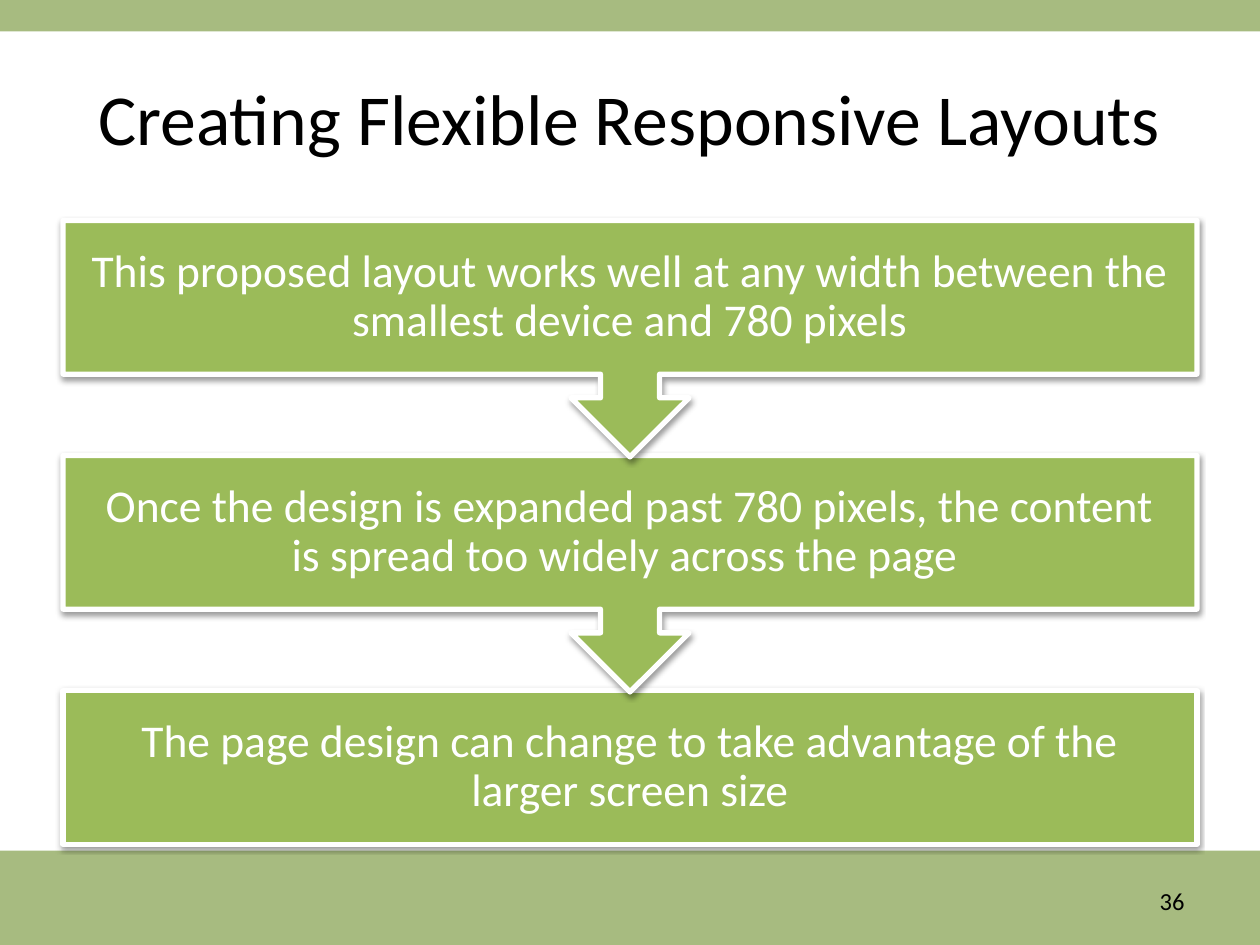
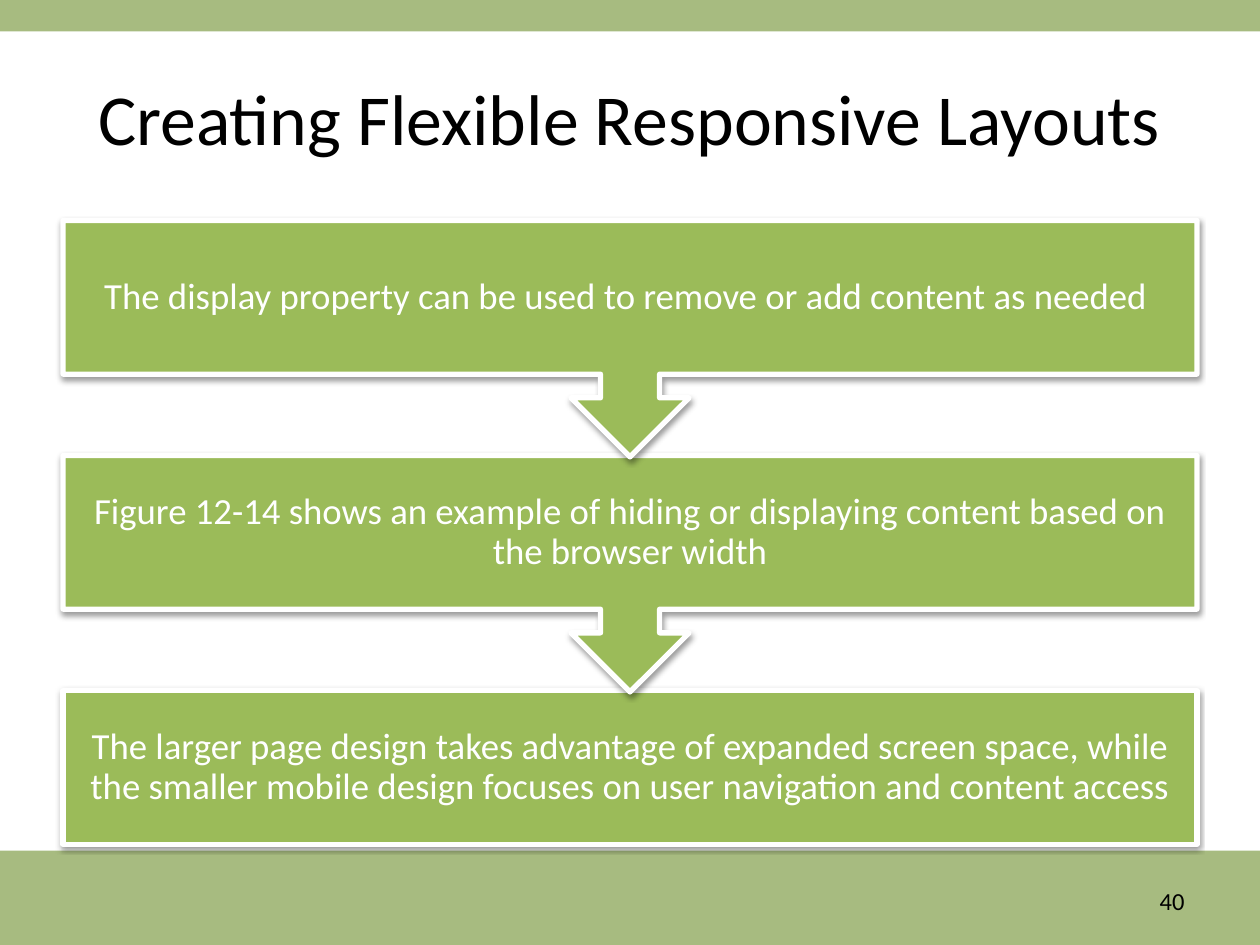
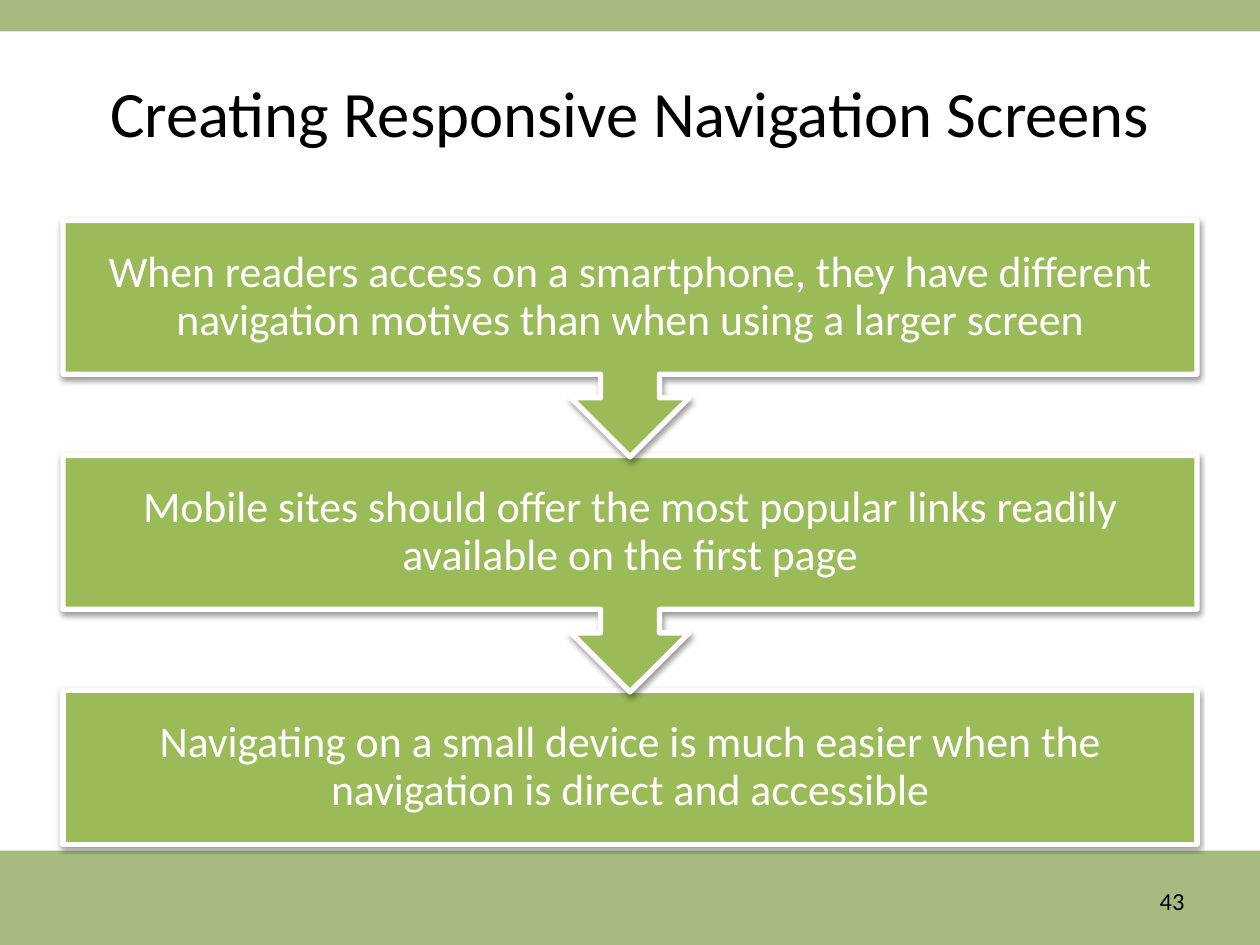
from dataclasses import dataclass
from typing import Any

from lxml import etree
from pptx import Presentation
from pptx import util as u
from pptx.dml.color import RGBColor
from pptx.enum import shapes, text
from pptx.oxml import ns

FONT = "Calibri"
BAND, GREEN, WHITE, BLACK = "A7BB80", "9BBB59", "FFFFFF", "000000"

WIDTH, HEIGHT, MARGIN = 720, 540, 36
INNER = WIDTH - 2 * MARGIN
STEP_TOP, STEP_PITCH = 126, 134.3
STEP_H, CALLOUT_H = 87.8, 135.1
INSET_RATIO = 0.56  # step text inset relative to its font size


@dataclass(frozen=True)
class Box:
    left: float
    top: float
    width: float
    height: float

    def emu(self) -> list[int]:
        return [u.Pt(v) for v in (self.left, self.top, self.width, self.height)]


@dataclass(frozen=True)
class Flow:
    title: str
    title_format: dict[str, Any]
    number: int
    step_size: int
    steps: tuple[str, ...]


BANDS = (Box(0, 486, WIDTH, 54), Box(0, 0, WIDTH, 18))
TITLE_BOX = Box(MARGIN, 21.6, INNER, 90)
NUMBER_BOX = Box(516, 500.4, 168, 28.8)

FLOWS = (
    Flow("Creating Flexible Responsive Layouts", {"size": 41}, 36, 26, (
        "This proposed layout works well at any width between the smallest "
        "device and 780 pixels",
        "Once the design is expanded past 780 pixels, the content is spread "
        "too widely across the page ",
        "The page design can change to take advantage of the larger screen size",
    )),
    Flow("Creating Flexible Responsive Layouts", {"size": 41}, 40, 21, (
        "The display property can be used to remove or add content as needed ",
        "Figure 12-14 shows an example of hiding or displaying content based "
        "on the browser width",
        "The larger page design takes advantage of expanded screen space, while "
        "the smaller mobile design focuses on user navigation and content access",
    )),
    Flow("Creating Responsive Navigation Screens",
         {"size": 37, "spacing": 0.9}, 43, 25, (
        "When readers access on a smartphone, they have different navigation "
        "motives than when using a larger screen",
        "Mobile sites should offer the most popular links readily available "
        "on the first page",
        "Navigating on a small device is much easier when the navigation is "
        "direct and accessible",
    )),
)


def rgb(value: str) -> RGBColor:
    return RGBColor.from_string(value)


def set_all(target: Any, values: dict[str, Any]) -> None:
    for name, value in values.items():
        setattr(target, name, value)


def add_filled(s: Any, kind: Any, box: Box, fill: str) -> Any:
    sp = s.shapes.add_shape(kind, *box.emu())
    sp.shadow.inherit = False
    sp.fill.solid()
    sp.fill.fore_color.rgb = rgb(fill)
    sp.line.fill.background()
    return sp


def add_text(s: Any, box: Box, words: str, size: float, color: str = BLACK,
             align: Any = text.PP_ALIGN.CENTER, spacing: float = 1.0,
             inset: float | None = None) -> None:
    tf = s.shapes.add_textbox(*box.emu()).text_frame
    set_all(tf, {"word_wrap": True, "vertical_anchor": text.MSO_ANCHOR.MIDDLE})
    if inset is not None:
        sides = ("left", "top", "right", "bottom")
        set_all(tf, {f"margin_{side}": u.Pt(inset) for side in sides})
    p = tf.paragraphs[0]
    set_all(p, {"alignment": align, "line_spacing": spacing})
    r = p.add_run()
    r.text = words
    set_all(r.font, {"name": FONT, "size": u.Pt(size)})
    r.font.color.rgb = rgb(color)


def add_soft_shadow(sp: Any) -> None:
    """Cast a faint shadow straight down, whatever the shape's rotation."""
    effects = sp._element.spPr.find(ns.qn("a:effectLst"))
    shadow = etree.SubElement(
        effects, ns.qn("a:outerShdw"), blurRad=str(u.Pt(3.1)),
        dist=str(u.Pt(1.6)), dir="5400000", rotWithShape="0")
    color = etree.SubElement(shadow, ns.qn("a:srgbClr"), val=BLACK)
    etree.SubElement(color, ns.qn("a:alpha"), val="38000")


def add_step(s: Any, index: int, words: str, size: int, last: bool) -> None:
    """Draw one step; all but the last point down to the next."""
    top = STEP_TOP + index * STEP_PITCH
    body = Box(MARGIN, top, INNER, STEP_H)
    if last:
        sp = add_filled(s, shapes.MSO_SHAPE.RECTANGLE, body, GREEN)
    else:
        callout = Box(MARGIN, top, INNER, CALLOUT_H)
        sp = add_filled(s, shapes.MSO_SHAPE.UP_ARROW_CALLOUT, callout, GREEN)
        sp.rotation = 180
    sp.line.color.rgb = rgb(WHITE)
    sp.line.width = u.Pt(3)
    add_soft_shadow(sp)
    add_text(s, body, words, size, WHITE, spacing=0.9, inset=INSET_RATIO * size)


def add_flow_slide(prs: Any, flow: Flow) -> None:
    s = prs.slides.add_slide(prs.slide_layouts[6])
    for band in BANDS:
        add_filled(s, shapes.MSO_SHAPE.RECTANGLE, band, BAND)
    add_text(s, TITLE_BOX, flow.title, **flow.title_format)
    add_text(s, NUMBER_BOX, str(flow.number), 14, align=text.PP_ALIGN.RIGHT)
    final = len(flow.steps) - 1
    # Bottom step first, so that each arrow tip overlaps the step below it.
    for index in range(final, -1, -1):
        add_step(s, index, flow.steps[index], flow.step_size, index == final)


def main() -> None:
    prs = Presentation()
    set_all(prs, {"slide_width": u.Pt(WIDTH), "slide_height": u.Pt(HEIGHT)})
    for flow in FLOWS:
        add_flow_slide(prs, flow)
    prs.save("out.pptx")


if __name__ == "__main__":
    main()
